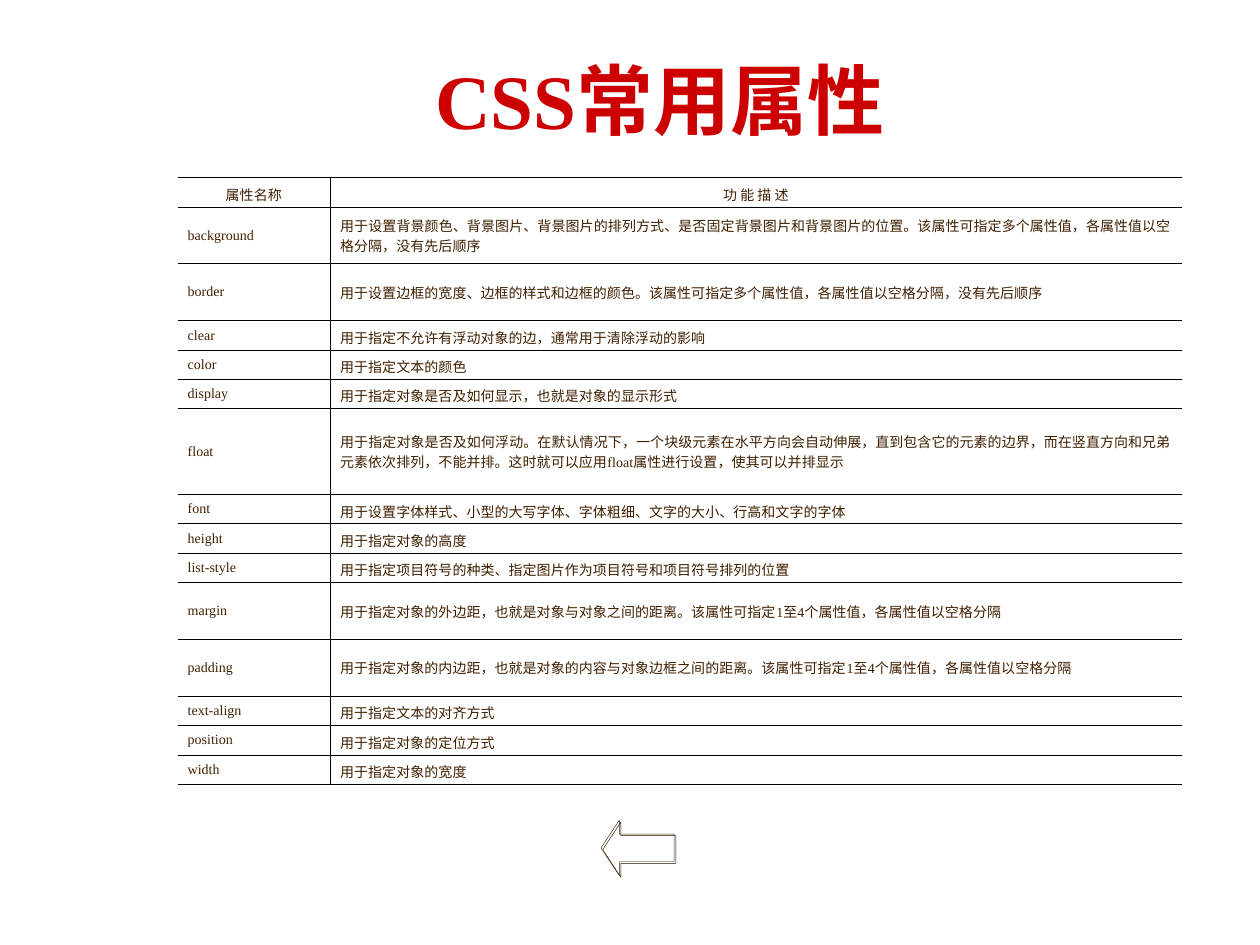
from typing import NamedTuple

from lxml.etree import SubElement as Sub
from pptx import Presentation
from pptx.dml.color import RGBColor
from pptx.enum.shapes import MSO_SHAPE as Shape
from pptx.enum.text import MSO_ANCHOR as Anchor, PP_ALIGN as Align
from pptx.oxml.ns import qn
from pptx.util import Inches, Pt

FONT = "Times New Roman"
RED = RGBColor(0xCC, 0x00, 0x00)
BROWN = RGBColor(0x40, 0x20, 0x00)
DARK = RGBColor(0x26, 0x13, 0x00)
BLACK = RGBColor(0x00, 0x00, 0x00)

LOW, MID, TALL = 0.23, 0.45, 0.68
COLS = (1.21, 6.76)


class Row(NamedTuple):
    name: str
    text: str
    high: float = LOW


ROWS = [
    Row("属性名称", "功 能 描 述"),
    Row("background", "用于设置背景颜色、背景图片、背景图片的排列方式、是否固定背景图片和背景图片的位置。"
        "该属性可指定多个属性值，各属性值以空格分隔，没有先后顺序", MID),
    Row("border", "用于设置边框的宽度、边框的样式和边框的颜色。"
        "该属性可指定多个属性值，各属性值以空格分隔，没有先后顺序", MID),
    Row("clear", "用于指定不允许有浮动对象的边，通常用于清除浮动的影响"),
    Row("color", "用于指定文本的颜色"),
    Row("display", "用于指定对象是否及如何显示，也就是对象的显示形式"),
    Row("float", "用于指定对象是否及如何浮动。在默认情况下，一个块级元素在水平方向会自动伸展，"
        "直到包含它的元素的边界，而在竖直方向和兄弟元素依次排列，不能并排。"
        "这时就可以应用float属性进行设置，使其可以并排显示", TALL),
    Row("font", "用于设置字体样式、小型的大写字体、字体粗细、文字的大小、行高和文字的字体"),
    Row("height", "用于指定对象的高度"),
    Row("list-style", "用于指定项目符号的种类、指定图片作为项目符号和项目符号排列的位置"),
    Row("margin", "用于指定对象的外边距，也就是对象与对象之间的距离。"
        "该属性可指定1至4个属性值，各属性值以空格分隔", MID),
    Row("padding", "用于指定对象的内边距，也就是对象的内容与对象边框之间的距离。"
        "该属性可指定1至4个属性值，各属性值以空格分隔", MID),
    Row("text-align", "用于指定文本的对齐方式"),
    Row("position", "用于指定对象的定位方式"),
    Row("width", "用于指定对象的宽度"),
]


def write(frame, text: str, size: float, color: RGBColor, align, bold: bool = False) -> None:
    para = frame.paragraphs[0]
    para.text = text
    para.alignment = align
    font = para.font
    font.name, font.size, font.bold = FONT, Pt(size), bold
    font.color.rgb = color


def add_fill(node, color: RGBColor) -> None:
    Sub(Sub(node, qn("a:solidFill")), qn("a:srgbClr"), val=str(color))


def rule_cell(cell, sides: str) -> None:
    """Rule the given sides of a cell and leave the others open."""
    props = cell._tc.get_or_add_tcPr()
    for side in "LRTB":
        line = Sub(props, qn(f"a:ln{side}"), w=str(Pt(0.45)))
        if side in sides:
            add_fill(line, BLACK)
        else:
            Sub(line, qn("a:noFill"))


def fill_cell(cell, text: str, align, sides: str) -> None:
    cell.margin_left = cell.margin_right = Inches(0.08)
    cell.margin_top = cell.margin_bottom = Inches(0.05)
    cell.vertical_anchor = Anchor.MIDDLE
    write(cell.text_frame, text, 8, BROWN, align)
    cell.text_frame.paragraphs[0].space_after = Pt(1.2)
    rule_cell(cell, sides)
    cell.fill.background()


def add_grid(slide) -> None:
    high = sum(row.high for row in ROWS)
    table = slide.shapes.add_table(
        len(ROWS), len(COLS), Inches(1.41), Inches(1.41),
        Inches(sum(COLS)), Inches(high)).table
    table.first_row = table.horz_banding = False
    for col, wide in zip(table.columns, COLS):
        col.width = Inches(wide)
    for i, row in enumerate(ROWS):
        table.rows[i].height = Inches(row.high)
        align = Align.JUSTIFY if i else Align.CENTER
        fill_cell(table.cell(i, 0), row.name, align, "RTB")
        fill_cell(table.cell(i, 1), row.text, align, "LTB")


def add_title(slide) -> None:
    box = slide.shapes.add_textbox(Inches(0.98), Inches(0.23), Inches(8.52), Inches(1.11))
    frame = box.text_frame
    frame.word_wrap = True
    frame.vertical_anchor = Anchor.MIDDLE
    write(frame, "CSS常用属性", 44, RED, Align.CENTER, True)


def add_arrow(slide) -> None:
    arrow = slide.shapes.add_shape(
        Shape.LEFT_ARROW, Inches(4.77), Inches(6.51), Inches(0.58), Inches(0.44))
    arrow.adjustments[0], arrow.adjustments[1] = 0.5, 0.33
    arrow.fill.background()
    arrow.line.color.rgb = BROWN
    arrow.line.width = Pt(0.25)
    # Hard shadow down to the right
    arrow.shadow.inherit = False
    effects = arrow._element.spPr.find(qn("a:effectLst"))
    shade = Sub(effects, qn("a:outerShdw"), dist=str(Pt(1.4)),
                dir=str(45 * 60000), algn="ctr", rotWithShape="0")
    Sub(shade, qn("a:srgbClr"), val=str(DARK))


def main() -> None:
    deck = Presentation()
    deck.slide_width, deck.slide_height = Inches(10), Inches(7.5)
    slide = deck.slides.add_slide(deck.slide_layouts[6])
    add_arrow(slide)
    add_title(slide)
    add_grid(slide)
    deck.save("out.pptx")


if __name__ == "__main__":
    main()
